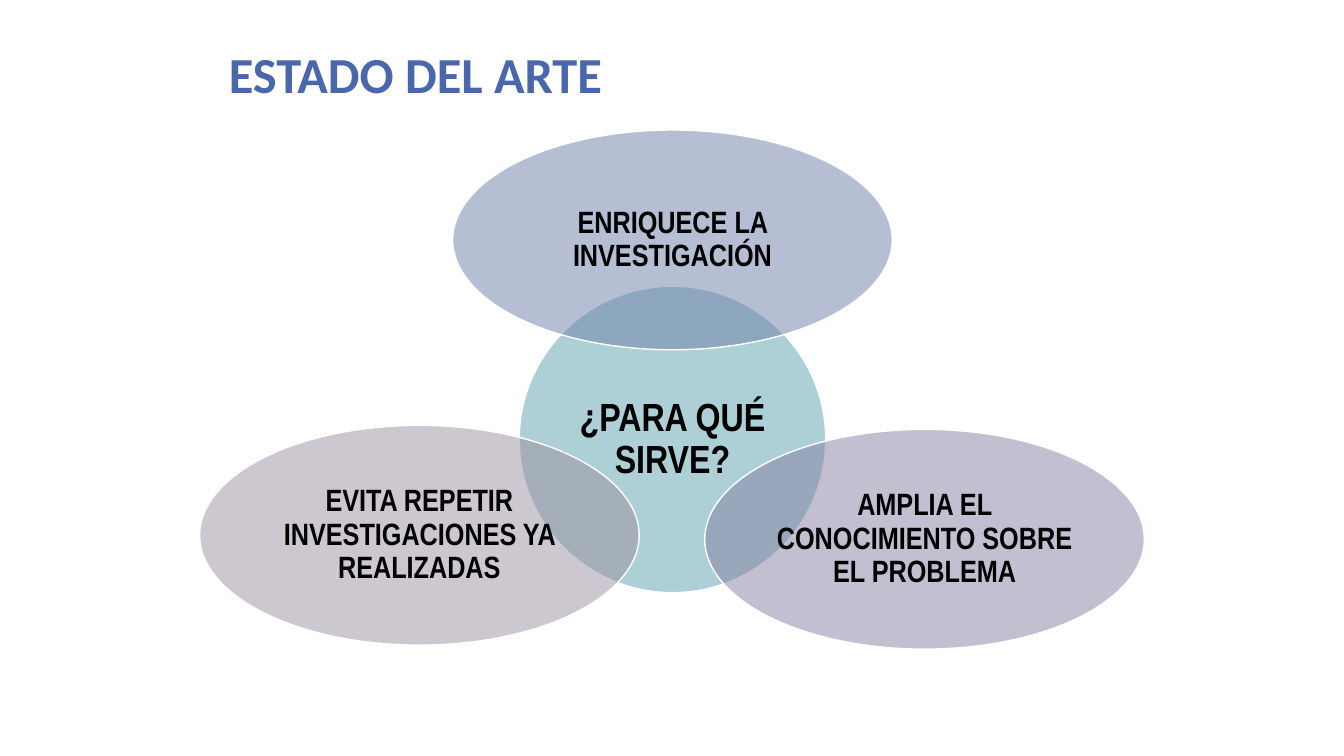
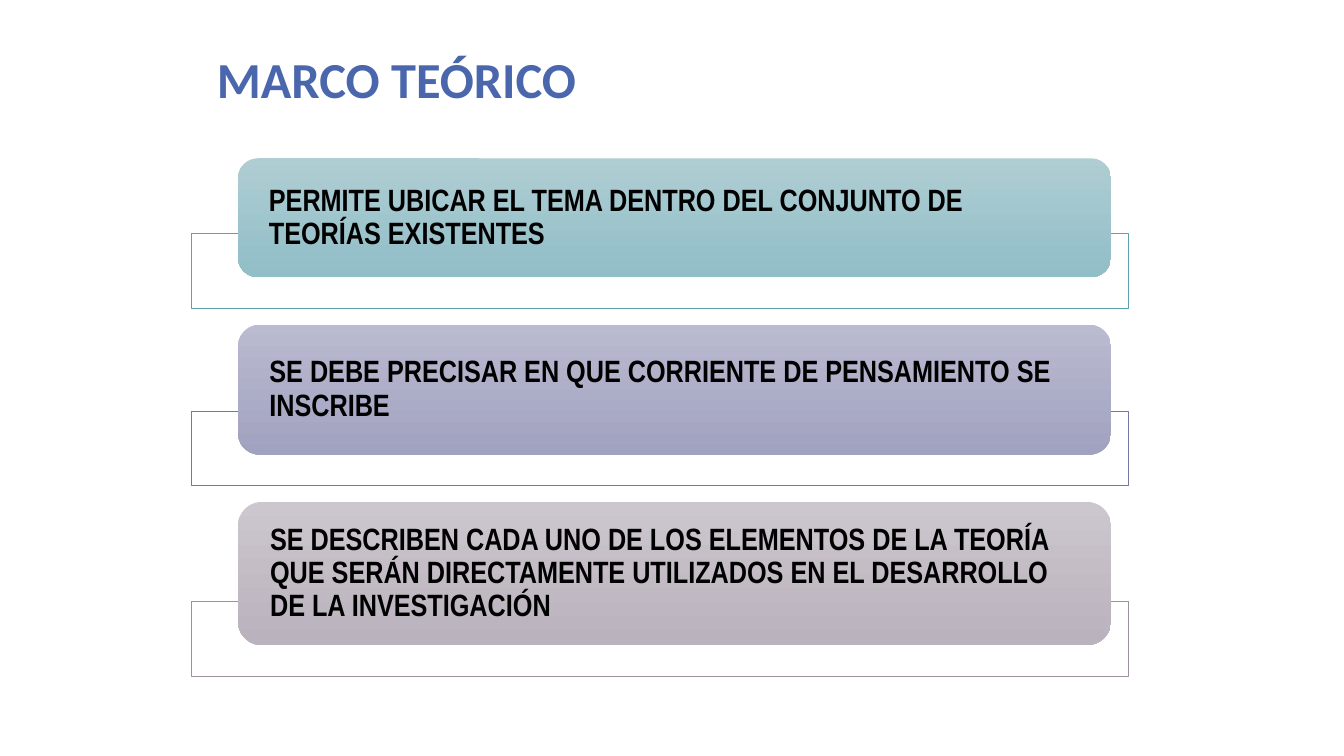
import pptx
import pptx.util
import pptx.dml.color
import pptx.enum.shapes
import pptx.enum.text
from lxml import etree

Inches, Pt = pptx.util.Inches, pptx.util.Pt
RGB = pptx.dml.color.RGBColor
SHAPE = pptx.enum.shapes.MSO_SHAPE
ALIGN = pptx.enum.text.PP_ALIGN
ANCHOR = pptx.enum.text.MSO_ANCHOR

BLUE = RGB(0x4A, 0x66, 0xAC)
TEAL = RGB(0x5A, 0xA2, 0xAE)
STEEL = RGB(0x6D, 0x7F, 0xA8)
PLUM = RGB(0x88, 0x7F, 0xA3)
MAUVE = RGB(0x9D, 0x90, 0xA0)
INDIGO = RGB(0x76, 0x77, 0xA6)
WHITE = RGB(255, 255, 255)
BLACK = RGB(0, 0, 0)

HUB = ("¿PARA QUÉ SIRVE?", 6.67, 4.36, 3.04, 3.04, TEAL, 28)
OVALS = [
    ("ENRIQUECE LA INVESTIGACIÓN", 6.67, 2.38, STEEL),
    ("AMPLIA EL CONOCIMIENTO SOBRE EL PROBLEMA", 9.17, 5.35, PLUM),
    ("EVITA REPETIR INVESTIGACIONES YA REALIZADAS", 4.16, 5.31, MAUVE),
]
OVAL_W, OVAL_H = 4.36, 2.18

CARDS = [
    ("PERMITE UBICAR EL TEMA DENTRO DEL CONJUNTO DE TEORÍAS EXISTENTES",
     1.18, TEAL, RGB(0xAF, 0xCD, 0xD3), RGB(0x91, 0xBE, 0xC7)),
    ("SE DEBE PRECISAR EN QUE CORRIENTE DE PENSAMIENTO SE INSCRIBE",
     1.29, INDIGO, RGB(0xBA, 0xBA, 0xD0), RGB(0xA1, 0xA2, 0xC0)),
    ("SE DESCRIBEN CADA UNO DE LOS ELEMENTOS DE LA TEORÍA QUE SERÁN "
     "DIRECTAMENTE UTILIZADOS EN EL DESARROLLO DE LA INVESTIGACIÓN",
     1.42, MAUVE, RGB(0xCC, 0xC6, 0xCE), RGB(0xBA, 0xB2, 0xBC)),
]
CARD_TOP, FRAME_H, OVERLAP, GAP = 1.57, 0.74, 0.43, 0.16


def style(par, size, face, color, align, space):
    par.alignment = align
    par.line_spacing = space
    par.font.size = Pt(size)
    par.font.name = face
    par.font.bold = True
    par.font.color.rgb = color


def add_slide(deck, text, left, top, width, height):
    slide = deck.slides.add_slide(deck.slide_layouts[5])
    title = slide.shapes.title
    title.left, title.top = Inches(left), Inches(top)
    title.width, title.height = Inches(width), Inches(height)
    frame = title.text_frame
    frame.text = text
    frame.auto_size = pptx.enum.text.MSO_AUTO_SIZE.NONE
    frame.vertical_anchor = ANCHOR.BOTTOM
    style(frame.paragraphs[0], 36, "Calibri", BLUE, ALIGN.LEFT, 0.8)
    return slide


def add_shape(slide, kind, left, top, width, height, fill=None, line=None, weight=1):
    shape = slide.shapes.add_shape(
        kind, Inches(left), Inches(top), Inches(width), Inches(height))
    shape.shadow.inherit = False
    if fill is not None:
        shape.fill.solid()
        shape.fill.fore_color.rgb = fill
    if line is None:
        shape.line.fill.background()
    else:
        shape.line.color.rgb = line
        shape.line.width = Pt(weight)
    return shape


def write(shape, text, size, align, side, edge):
    frame = shape.text_frame
    frame.word_wrap = True
    frame.vertical_anchor = ANCHOR.MIDDLE
    frame.margin_left = frame.margin_right = Inches(side)
    frame.margin_top = frame.margin_bottom = Inches(edge)
    frame.text = text
    style(frame.paragraphs[0], size, "Arial Narrow", BLACK, align, 0.9)


def add_oval(slide, text, mid_x, mid_y, width, height, color, size):
    oval = add_shape(slide, SHAPE.OVAL, mid_x - width / 2, mid_y - height / 2,
                     width, height, color, WHITE)
    tint = oval.fill._xPr.find(".//" + pptx.oxml.ns.qn("a:srgbClr"))
    etree.SubElement(tint, pptx.oxml.ns.qn("a:alpha"), val="50000")
    write(oval, text, size, ALIGN.CENTER, 0.03, 0.03)


def add_card(slide, text, top, height, line, light, dark):
    base = top + height
    add_shape(slide, SHAPE.RECTANGLE, 1.9, base - OVERLAP, 9.29, FRAME_H,
              WHITE, line, 0.5)
    card = add_shape(slide, SHAPE.ROUNDED_RECTANGLE, 2.36, top, 8.66, height)
    card.fill.gradient()
    card.fill.gradient_angle = 270
    for stop, color, place in zip(card.fill.gradient_stops, (light, dark), (0, 1)):
        stop.color.rgb = color
        stop.position = place
    write(card, text, 22, ALIGN.LEFT, 0.25, 0)
    return base - OVERLAP + FRAME_H + GAP


def main():
    deck = pptx.Presentation()
    deck.slide_width, deck.slide_height = Inches(13.33), Inches(7.5)

    slide = add_slide(deck, "ESTADO DEL ARTE", 2.17, 0.36, 9, 0.71)
    add_oval(slide, *HUB)
    for text, mid_x, mid_y, color in OVALS:
        add_oval(slide, text, mid_x, mid_y, OVAL_W, OVAL_H, color, 22)

    slide = add_slide(deck, "MARCO TEÓRICO", 2.05, 0.28, 9, 0.84)
    top = CARD_TOP
    for text, *look in CARDS:
        top = add_card(slide, text, top, *look)

    deck.save("out.pptx")


if __name__ == "__main__":
    main()
